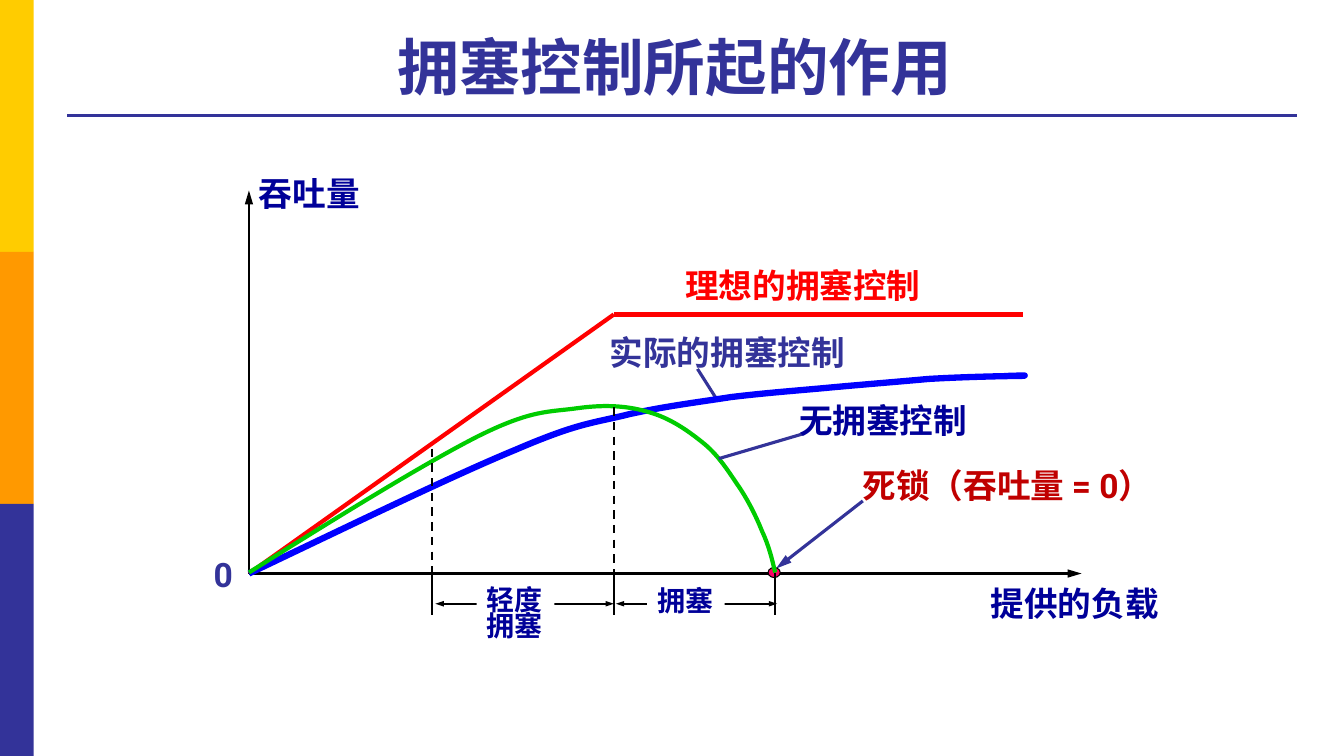
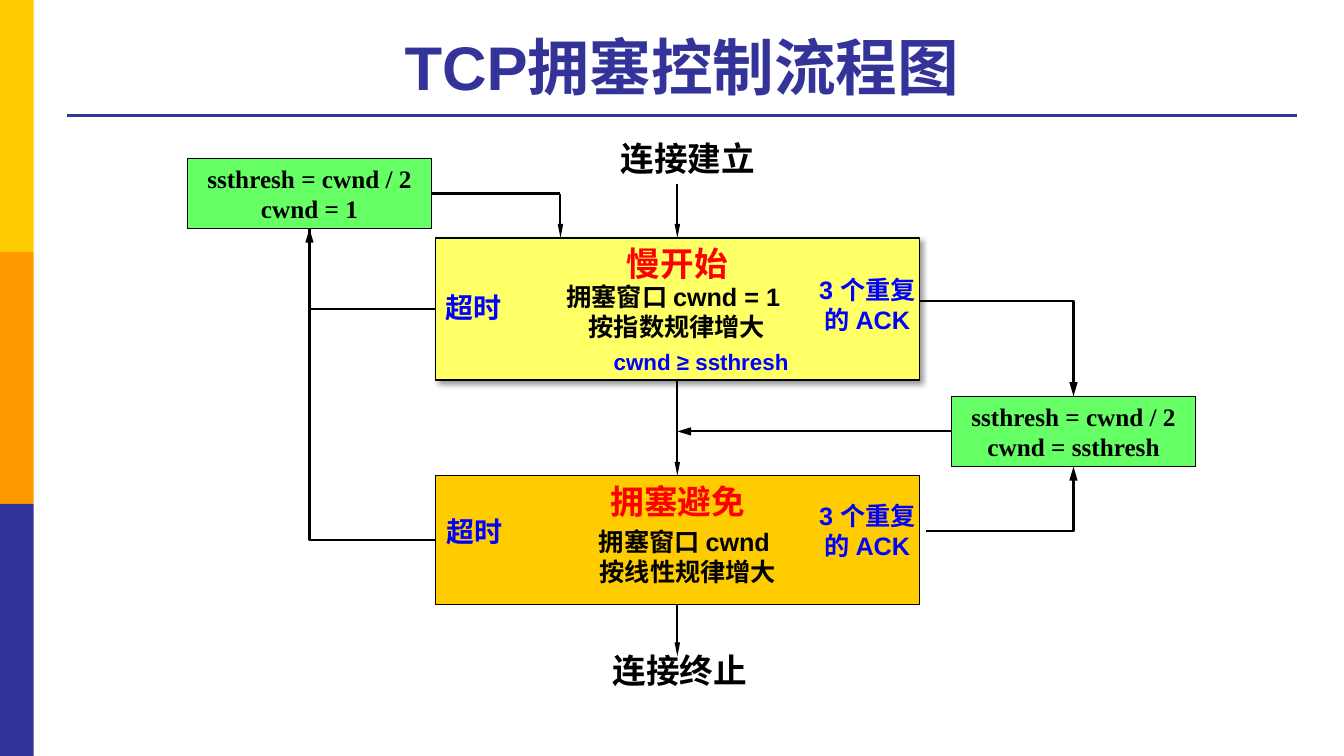
from dataclasses import dataclass
from typing import Optional

from lxml import etree
from pptx import Presentation
from pptx import util as u
from pptx.dml.color import RGBColor
from pptx.enum import dml, shapes, text
from pptx.oxml.ns import qn
from pptx.text.text import Font

NAVY, INK, BLACK, WHITE = "333399", "000099", "000000", "FFFFFF"
RED, BLUE, GREEN, CRIMSON = "FF0000", "0000FF", "00CC00", "C00000"
GOLD, ORANGE, YELLOW, MINT, PINK = "FFCC00", "FF9900", "FFFF66", "66FF66", "FF0066"
RECT = shapes.MSO_SHAPE.RECTANGLE
PROCESS = shapes.MSO_SHAPE.FLOWCHART_PROCESS
TOP, LEFT, BOTTOM, RIGHT = range(4)
SLIDE_W, SLIDE_H = 40 / 3, 7.5
BAND_W = SLIDE_W / 40

Point = tuple[float, float]


@dataclass
class Label:
    lines: str
    x: float
    y: float
    w: float
    h: float
    color: str
    size: float = 24
    centered: bool = False
    wrap: bool = False
    fill: Optional[str] = None
    spacing: Optional[float] = None


@dataclass
class Line:
    start: Point
    end: Point
    color: str = BLACK
    width: float = 1.5
    head: bool = False
    tail: bool = False
    dashed: bool = False
    arrow_w: str = "med"
    arrow_len: str = "lg"


@dataclass
class Curve:
    points: list[Point]
    color: str
    width: float


@dataclass
class Link:
    line: Line
    begin: Optional[tuple[str, int]] = None
    end: Optional[tuple[str, int]] = None
    bent: bool = False


def rgb(value: str) -> RGBColor:
    return RGBColor.from_string(value)


def write(tf, content: str, *, size: float, color: str, font: str,
          centered: bool = False, spacing: Optional[float] = None) -> None:
    for i, line in enumerate(content.split("\n")):
        p = tf.paragraphs[0] if i == 0 else tf.add_paragraph()
        p.alignment = text.PP_ALIGN.CENTER if centered else text.PP_ALIGN.LEFT
        if spacing:
            p.line_spacing = spacing
        r = p.add_run()
        r.text = line
        r.font.size, r.font.bold, r.font.name = u.Pt(size), True, font
        r.font.color.rgb = rgb(color)


def add_box(s, kind, x: float, y: float, w: float, h: float, fill: str,
            line_width: float = 0):
    sp = s.shapes.add_shape(kind, u.Inches(x), u.Inches(y), u.Inches(w), u.Inches(h))
    sp.shadow.inherit = False
    sp.fill.solid()
    sp.fill.fore_color.rgb = rgb(fill)
    if line_width:
        sp.line.color.rgb = rgb(BLACK)
        sp.line.width = u.Pt(line_width)
    else:
        sp.line.fill.background()
    return sp


def add_label(s, label: Label, font: str) -> None:
    sp = s.shapes.add_textbox(u.Inches(label.x), u.Inches(label.y),
                              u.Inches(label.w), u.Inches(label.h))
    tf = sp.text_frame
    tf.word_wrap = label.wrap
    tf.auto_size = text.MSO_AUTO_SIZE.SHAPE_TO_FIT_TEXT
    if label.fill:
        sp.fill.solid()
        sp.fill.fore_color.rgb = rgb(label.fill)
    write(tf, label.lines, size=label.size, color=label.color, font=font,
          centered=label.centered, spacing=label.spacing)


def add_line(s, line: Line, kind=shapes.MSO_CONNECTOR.STRAIGHT):
    c = s.shapes.add_connector(kind, *(u.Inches(v) for v in line.start + line.end))
    c.line.color.rgb = rgb(line.color)
    c.line.width = u.Pt(line.width)
    if line.dashed:
        c.line.dash_style = dml.MSO_LINE.DASH
    sp_pr = c.element.spPr
    ln = sp_pr.find(qn("a:ln"))
    for tag, shown in (("a:headEnd", line.head), ("a:tailEnd", line.tail)):
        if shown:
            etree.SubElement(ln, qn(tag), type="triangle", w=line.arrow_w, len=line.arrow_len)
    etree.SubElement(sp_pr, qn("a:effectLst"))
    return c


def add_link(s, link: Link, boxes: dict) -> None:
    kind = shapes.MSO_CONNECTOR.ELBOW if link.bent else shapes.MSO_CONNECTOR.STRAIGHT
    c = add_line(s, link.line, kind)
    if link.begin:
        c.begin_connect(boxes[link.begin[0]], link.begin[1])
    if link.end:
        c.end_connect(boxes[link.end[0]], link.end[1])
    if link.bent:
        c.element.spPr.find(qn("a:prstGeom")).set("prst", "bentConnector2")
        xfrm = c.element.spPr.find(qn("a:xfrm"))
        if xfrm.get("flipH") and xfrm.get("flipV"):
            del xfrm.attrib["flipH"], xfrm.attrib["flipV"]
            xfrm.set("rot", "10800000")


def add_curve(s, curve: Curve) -> None:
    track = [(u.Inches(x), u.Inches(y)) for x, y in curve.points]
    builder = s.shapes.build_freeform(*track[0])
    builder.add_line_segments(track[1:], close=False)
    sp = builder.convert_to_shape()
    segments = list(sp.element.iter(qn("a:lnTo")))
    for i in range(0, len(segments), 3):
        bezier = etree.Element(qn("a:cubicBezTo"))
        segments[i].addprevious(bezier)
        for segment in segments[i:i + 3]:
            bezier.append(segment[0])
            segment.getparent().remove(segment)
    sp.shadow.inherit = False
    sp.fill.background()
    sp.line.color.rgb = rgb(curve.color)
    sp.line.width = u.Pt(curve.width)


def add_shadow(sp) -> None:
    effects = sp.element.spPr.find(qn("a:effectLst"))
    shadow = etree.SubElement(effects, qn("a:outerShdw"), blurRad=str(u.Pt(4)),
                              dist=str(u.Pt(3)), dir="2700000", algn="tl", rotWithShape="0")
    color = etree.SubElement(shadow, qn("a:srgbClr"), val=BLACK)
    etree.SubElement(color, qn("a:alpha"), val="40000")


def style_layout(prs, layout) -> None:
    style = prs.slide_master.element.find(".//" + qn("p:titleStyle"))
    font = Font(style.find(".//" + qn("a:defRPr")))
    font.name, font.size, font.bold = "Arial", u.Pt(44), True
    font.color.rgb = rgb(NAVY)
    title = next(p for p in layout.placeholders if p.placeholder_format.idx == 0)
    title.left, title.top = u.Inches(2 * BAND_W), u.Inches(0.2)
    title.width, title.height = u.Inches(12.2), u.Inches(0.87)
    title.text_frame.vertical_anchor = text.MSO_ANCHOR.BOTTOM


def decorate_layout(s, layout) -> None:
    parts = [add_box(s, RECT, 0, 2.5 * i, BAND_W, 2.5, fill)
             for i, fill in enumerate((GOLD, ORANGE, NAVY))]
    parts.append(add_line(s, Line((2 * BAND_W, 1.15), (12.87, 1.15), NAVY, 2.25)))
    for i, part in enumerate(parts):
        next(part.element.iter(qn("p:cNvPr"))).set("id", str(100 + i))
        layout.shapes.element.insert(2 + i, part.element)


def add_titled_slide(prs, layout, title: str):
    s = prs.slides.add_slide(layout)
    s.shapes.title.text = title
    return s


def draw_throughput(s) -> None:
    origin, knee = (2.47, 5.69), (6.09, 3.12)
    mild_x, heavy_x, dead_x, span_y = 4.29, 6.09, 7.69, 5.99
    axes_and_ideal = [
        Line(origin, (2.47, 1.89), tail=True),
        Line(origin, knee, RED, 3),
        Line(knee, (10.15, 3.12), RED, 3),
        Line((6.92, 3.66), (7.11, 3.96), NAVY, 2.25),
        Line(origin, (10.73, 5.69), tail=True),
        Line((8.56, 4.97), (7.7, 5.64), NAVY, 2.25, tail=True),
    ]
    markers = [Line((x, span_y), (end, span_y), head=True, tail=True,
                    arrow_w="sm", arrow_len="med")
               for x, end in ((6.11, 7.71), (4.32, 6.09))]
    markers += [
        Line((heavy_x, 4.04), (heavy_x, 5.68), dashed=True),
        Line((mild_x, 4.45), (mild_x, 5.69), dashed=True),
        Line((7.98, 4.3), (7.13, 4.55), NAVY, 2.25),
    ]
    markers += [Line((x, 5.68), (x, 6.1)) for x in (mild_x, heavy_x, dead_x)]
    curves = [
        Curve([origin, (3.48, 5.21), (4.49, 4.72), (5.12, 4.46), (5.75, 4.19),
               (5.88, 4.2), (6.24, 4.11), (6.6, 4.03), (6.93, 3.99), (7.25, 3.94),
               (7.58, 3.9), (7.85, 3.88), (8.18, 3.85), (8.5, 3.82), (8.88, 3.79),
               (9.21, 3.76), (9.54, 3.74), (10, 3.73), (10.13, 3.73),
               (10.26, 3.72), (10.01, 3.73), (9.99, 3.73)], BLUE, 4.5),
        Curve([(2.47, 5.68), (3.33, 5.14), (4.19, 4.61), (4.74, 4.33), (5.28, 4.06),
               (5.45, 4.09), (5.73, 4.05), (6.02, 4.01), (6.24, 4.03), (6.44, 4.09),
               (6.65, 4.15), (6.82, 4.27), (6.97, 4.39), (7.11, 4.5), (7.21, 4.65),
               (7.31, 4.8), (7.41, 4.94), (7.5, 5.12), (7.56, 5.27),
               (7.63, 5.42), (7.66, 5.55), (7.69, 5.68)], GREEN, 3),
    ]
    labels = [
        Label("提供的负载", 9.73, 5.73, 1.89, 0.5, INK),
        Label("吞吐量", 2.47, 1.67, 1.22, 0.5, INK),
        Label("理想的拥塞控制", 6.7, 2.58, 2.57, 0.51, RED),
        Label("实际的拥塞控制", 5.95, 3.24, 2.57, 0.51, NAVY),
        Label("0", 2.02, 5.45, 0.42, 0.5, NAVY),
        Label("死锁（吞吐量 = 0）", 8.46, 4.56, 3.26, 0.51, CRIMSON),
        Label("无拥塞控制", 7.83, 3.92, 1.89, 0.51, INK),
        Label("拥塞", 6.42, 5.74, 0.77, 0.44, INK, 20, fill=WHITE),
        Label("轻度\n拥塞", 4.73, 5.79, 0.77, 0.64, INK, 20, fill=WHITE, spacing=0.8),
    ]
    for line in axes_and_ideal:
        add_line(s, line)
    add_box(s, shapes.MSO_SHAPE.OVAL, 7.62, 5.63, 0.12, 0.1, PINK, 0.75)
    for curve in curves:
        add_curve(s, curve)
    for line in markers:
        add_line(s, line)
    for label in labels:
        add_label(s, label, "Roboto")


def draw_flow(s) -> None:
    boxes = {
        "start": add_box(s, PROCESS, 4.32, 2.36, 4.8, 1.41, YELLOW, 1),
        "avoid": add_box(s, PROCESS, 4.32, 4.72, 4.8, 1.28, GOLD, 0.75),
        "timeout": add_box(s, RECT, 1.86, 1.57, 2.42, 0.7, MINT, 1),
        "repeat": add_box(s, RECT, 9.44, 3.93, 2.42, 0.7, MINT, 0.75),
    }
    add_shadow(boxes["start"])
    for name, value in (("timeout", "1"), ("repeat", "ssthresh")):
        write(boxes[name].text_frame, f"ssthresh = cwnd / 2\ncwnd = {value}", size=18,
              color=BLACK, font="Times New Roman", centered=True)
    axis_x = 6.72
    links = [Link(Line((axis_x, y), (axis_x, end), tail=True, arrow_w="sm"), begin, target)
             for y, end, begin, target in (
                 (1.83, 2.36, None, ("start", TOP)),
                 (3.77, 4.72, ("start", BOTTOM), ("avoid", TOP)),
                 (6, 6.51, ("avoid", BOTTOM), None))]
    links += [
        Link(Line((9.44, 4.28), (axis_x, 4.28), tail=True), ("repeat", LEFT)),
        Link(Line((4.28, 1.92), (5.56, 1.92)), ("timeout", RIGHT)),
        Link(Line((5.56, 1.92), (5.56, 2.36), tail=True, arrow_w="sm")),
        Link(Line((4.32, 3.07), (3.07, 2.27), tail=True),
             ("start", LEFT), ("timeout", BOTTOM), bent=True),
        Link(Line((4.32, 5.36), (3.07, 2.27)),
             ("avoid", LEFT), ("timeout", BOTTOM), bent=True),
        Link(Line((9.19, 5.27), (10.65, 4.63), tail=True), end=("repeat", BOTTOM), bent=True),
        Link(Line((9.13, 2.99), (10.65, 3.93), tail=True), end=("repeat", TOP), bent=True),
    ]
    labels = [
        Label("连接建立", 6.06, 1.32, 1.56, 0.5, BLACK),
        Label("连接终止", 5.98, 6.4, 1.56, 0.5, BLACK),
        Label("慢开始", 6.12, 2.36, 1.22, 0.5, RED),
        Label("拥塞避免", 5.96, 4.72, 1.56, 0.5, RED),
        Label("拥塞窗口 cwnd = 1 \n按指数规律增大", 5.41, 2.74, 2.61, 0.71, BLACK, 18, True, True),
        Label("拥塞窗口 cwnd \n按线性规律增大", 5.8, 5.17, 2.05, 0.71, BLACK, 18, True, True),
        Label("cwnd ≥ ssthresh", 5.99, 3.4, 1.96, 0.37, BLUE, 16),
        Label("超时", 4.32, 2.83, 0.77, 0.44, BLUE, 20),
        Label("超时", 4.33, 5.06, 0.77, 0.44, BLUE, 20),
    ]
    labels += [Label("3 个重复\n的 ACK", 8.02, y, 1.17, 0.71, BLUE, 18, True, True)
               for y in (2.67, 4.91)]
    for link in links:
        add_link(s, link, boxes)
    for label in labels:
        add_label(s, label, "Arial")


def main() -> None:
    prs = Presentation()
    prs.slide_width, prs.slide_height = u.Inches(SLIDE_W), u.Inches(SLIDE_H)
    layout = prs.slide_layouts[5]
    style_layout(prs, layout)
    throughput = add_titled_slide(prs, layout, "拥塞控制所起的作用 ")
    decorate_layout(throughput, layout)
    draw_throughput(throughput)
    draw_flow(add_titled_slide(prs, layout, "TCP拥塞控制流程图"))
    prs.save("out.pptx")


if __name__ == "__main__":
    main()
